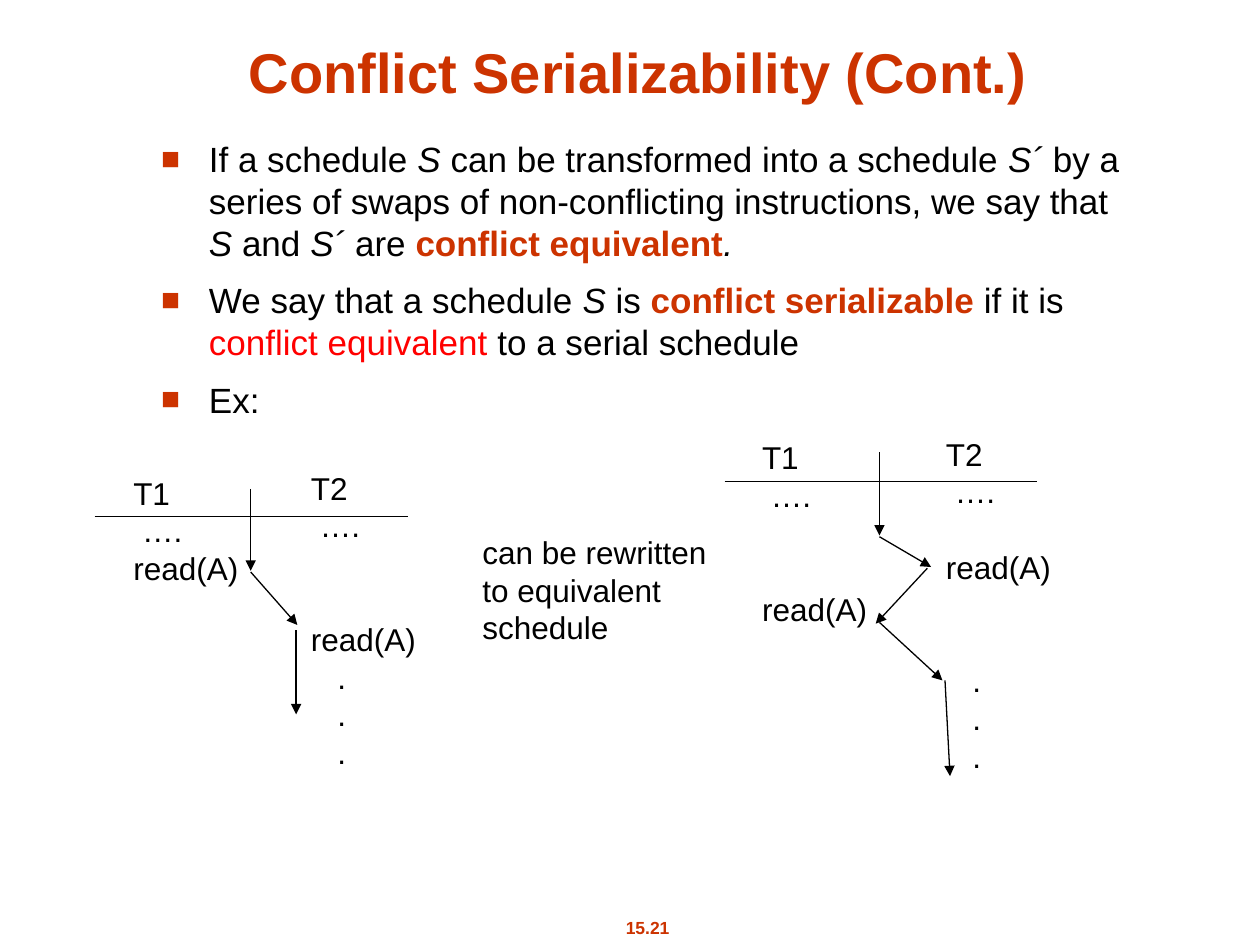
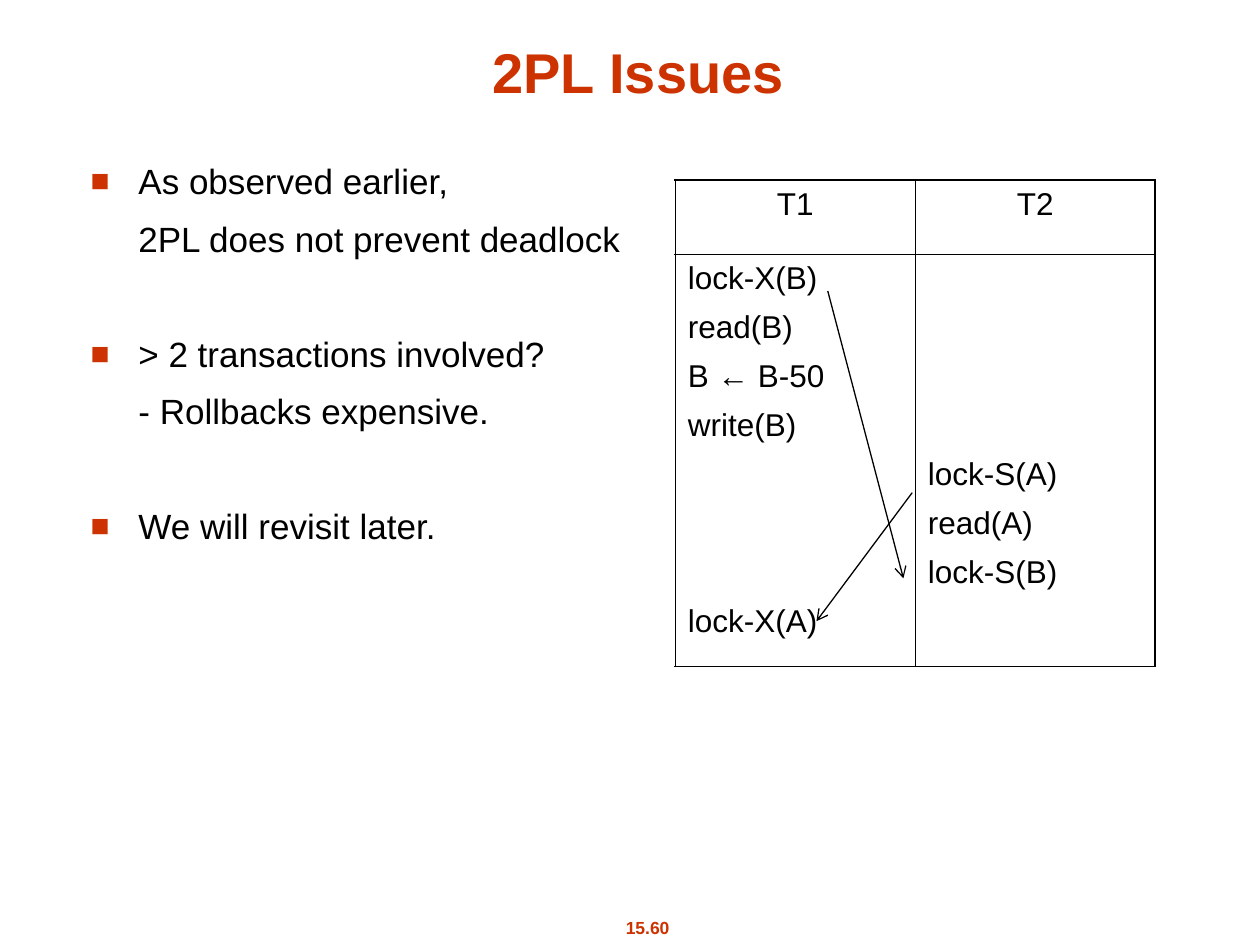
from dataclasses import dataclass
from typing import NamedTuple, Optional

import lxml.etree
import pptx
import pptx.dml.color
import pptx.enum.shapes
import pptx.enum.text
import pptx.oxml
import pptx.oxml.ns
import pptx.util

Inches = pptx.util.Inches
Pt = pptx.util.Pt
Align = pptx.enum.text.PP_ALIGN
Anchor = pptx.enum.text.MSO_ANCHOR
qn = pptx.oxml.ns.qn

COLORS = {"accent": "CC3300", "text": "000000", "highlight": "FF0000"}
FONT = "Arial"
LEADING = 1.2
TITLE_SIZE, BODY_SIZE, DIAGRAM_SIZE, FOOTER_SIZE = 32, 20, 18, 10
BODY_GAP = 8.8
BODY_INDENT = 0.38
BODY_LINE = BODY_SIZE * LEADING
DIAGRAM_LINE = DIAGRAM_SIZE * LEADING
TABLE_GAP = 7.9
TABLE_STEP = 28
OUTER_BORDER, INNER_BORDER = 1.08, 0.45


class Box(NamedTuple):
    left: float
    top: float
    width: float
    height: float


class Run(NamedTuple):
    text: str
    color: str = "text"
    bold: bool = False
    italic: bool = False


@dataclass
class Para:
    runs: list[Run]
    before: float = 0
    indent: float = 0
    bullet: bool = False
    align: Align = Align.LEFT


class Line(NamedTuple):
    x1: float
    y1: float
    x2: float
    y2: float
    head: Optional[str] = "triangle"


def italic(text: str) -> Run:
    return Run(text, italic=True)


def term(text: str) -> Run:
    return Run(text, "accent", bold=True)


def point(*runs: Run, before: float = BODY_GAP, bullet: bool = True) -> Para:
    return Para(list(runs), before, BODY_INDENT, bullet)


def step(text: str, skipped: int = 0, indent: float = 0) -> Para:
    """One line of a schedule, after a number of skipped lines."""
    return Para([Run(text)], skipped * DIAGRAM_LINE, indent)


def dots(skipped: int = 0) -> list[Para]:
    return [step(".", skipped if i == 0 else 0, 0.21) for i in range(3)]


def lock_steps(*texts: str) -> list[Para]:
    return [Para([Run(text)], TABLE_GAP if i else 0) for i, text in enumerate(texts)]


def rgb(name: str) -> pptx.dml.color.RGBColor:
    return pptx.dml.color.RGBColor.from_string(COLORS[name])


def add_bullet(paragraph) -> None:
    props = paragraph._p.get_or_add_pPr()
    color = lxml.etree.SubElement(props, qn("a:buClr"))
    lxml.etree.SubElement(color, qn("a:srgbClr"), val=COLORS["accent"])
    lxml.etree.SubElement(props, qn("a:buSzPct"), val="90000")
    lxml.etree.SubElement(props, qn("a:buFont"), typeface=FONT)
    lxml.etree.SubElement(props, qn("a:buChar"), char="■")


def write(frame, paras: list[Para], size: float, leading: Optional[float] = None) -> None:
    for i, para in enumerate(paras):
        paragraph = frame.add_paragraph() if i else frame.paragraphs[0]
        props = paragraph._p.get_or_add_pPr()
        props.set("marL", str(Inches(para.indent)))
        props.set("indent", str(-Inches(para.indent) if para.bullet else 0))
        if para.bullet:
            add_bullet(paragraph)
        paragraph.alignment = para.align
        paragraph.space_before = Pt(para.before)
        if leading:
            paragraph.line_spacing = Pt(size * leading)
        for part in para.runs:
            run = paragraph.add_run()
            run.text = part.text
            run.font.name = FONT
            run.font.size = Pt(size)
            run.font.bold = part.bold
            run.font.italic = part.italic
            run.font.color.rgb = rgb(part.color)


def add_text(slide, box: Box, paras: list[Para], size: float,
             anchor: Anchor = Anchor.TOP, right_margin: float = 0.1) -> None:
    frame = slide.shapes.add_textbox(*map(Inches, box)).text_frame
    frame.word_wrap = True
    frame.vertical_anchor = anchor
    frame.margin_right = Inches(right_margin)
    write(frame, paras, size, LEADING)


def add_line(slide, line: Line) -> None:
    ends = map(Inches, (line.x1, line.y1, line.x2, line.y2))
    connector = slide.shapes.add_connector(
        pptx.enum.shapes.MSO_CONNECTOR.STRAIGHT, *ends)
    connector.line.color.rgb = rgb("text")
    connector.line.width = Pt(0.75)
    if line.head:
        lxml.etree.SubElement(connector.line._get_or_add_ln(), qn("a:tailEnd"),
                              type=line.head)
    lxml.etree.SubElement(connector._element.spPr, qn("a:effectLst"))


def set_borders(cell, widths: dict[str, float]) -> None:
    """Draw the cell's borders; widths in points by side L, R, T, B."""
    props = cell._tc.get_or_add_tcPr()
    for i, (side, width) in enumerate(widths.items()):
        border = lxml.etree.Element(qn(f"a:ln{side}"), w=str(Pt(width)))
        fill = lxml.etree.SubElement(border, qn("a:solidFill"))
        lxml.etree.SubElement(fill, qn("a:srgbClr"), val=COLORS["text"])
        props.insert(i, border)


def start_slide(deck, title: str, number: str):
    slide = deck.slides.add_slide(deck.slide_layouts[6])
    add_text(slide, Box(4.61, 7.23, 1.06, 0.27),
             [Para([term(number)], align=Align.CENTER)], FOOTER_SIZE)
    add_text(slide, Box(0.65, 0.21, 8.83, 0.67),
             [Para([term(title)], align=Align.CENTER)], TITLE_SIZE, Anchor.BOTTOM)
    return slide


def build_conflict_slide(deck) -> None:
    slide = start_slide(deck, "Conflict Serializability (Cont.)", "15.21")
    add_text(slide, Box(1.18, 1.04, 7.94, 5.14), [
        point(Run("If a schedule "), italic("S"),
              Run(" can be transformed into a schedule "), italic("S´ "),
              Run("by a series of swaps of non-conflicting instructions, we say that "),
              italic("S"), Run(" and "), italic("S´ "), Run("are "),
              term("conflict equivalent"), italic("."), before=0),
        point(Run("We say that a schedule "), italic("S"), Run(" is "),
              term("conflict serializable"), Run(" if it is "),
              Run("conflict equivalent ", "highlight"), Run("to a serial schedule")),
        point(Run("Ex:")),
    ], BODY_SIZE)

    ellipsis = step("….", indent=0.07)
    schedules = [
        (Box(0.96, 3.71, 1.03, 1.9), [step("T1"), ellipsis, step("read(A)")]),
        (Box(2.37, 3.67, 1.03, 3.1),
         [step("T2"), ellipsis, step("read(A)", 2), *dots()]),
        (Box(5.95, 3.43, 1.03, 2.5), [step("T1"), ellipsis, step("read(A)", 2)]),
        (Box(7.41, 3.4, 1.03, 3.4),
         [step("T2"), ellipsis, step("read(A)", 1), *dots(2)]),
        (Box(3.73, 4.18, 1.98, 1),
         [step("can be rewritten"), step("to equivalent"), step("schedule")]),
    ]
    for box, steps in schedules:
        add_text(slide, box, steps, DIAGRAM_SIZE, right_margin=0)

    header_rules = [Line(0.75, 4.1, 3.24, 4.1, None), Line(5.75, 3.82, 8.23, 3.82, None)]
    first_order = [
        Line(1.99, 3.88, 1.99, 4.53),
        Line(1.99, 4.54, 2.36, 4.96),
        Line(2.35, 5, 2.35, 5.67),
    ]
    swapped_order = [
        Line(6.98, 3.59, 6.98, 4.25),
        Line(6.98, 4.26, 7.39, 4.5),
        Line(7.36, 4.51, 6.95, 4.95),
        Line(6.98, 4.94, 7.48, 5.4),
        Line(7.5, 5.4, 7.54, 6.16),
    ]
    for line in header_rules + first_order + swapped_order:
        add_line(slide, line)


def add_lock_table(slide) -> None:
    rows = [
        [[Para([Run(name)], align=Align.CENTER)] for name in ("T1", "T2")],
        [lock_steps("lock-X(B)", "read(B)", "B ← B-50", "write(B)", "lock-X(A)"),
         lock_steps("lock-S(A)", "read(A)", "lock-S(B)")],
    ]
    rows[1][0][-1].before += 3 * TABLE_STEP

    table = slide.shapes.add_table(
        2, 2, *map(Inches, Box(5.36, 1.43, 3.81, 3.86))).table
    table.first_row = table.horz_banding = False
    for column in table.columns:
        column.width = Inches(1.905)
    for row, height in zip(table.rows, (0.59, 3.27)):
        row.height = Inches(height)
    for r, row in enumerate(rows):
        for c, paras in enumerate(row):
            cell = table.cell(r, c)
            cell.fill.background()
            set_borders(cell, {
                "L": INNER_BORDER if c else OUTER_BORDER,
                "R": OUTER_BORDER if c else INNER_BORDER,
                "T": INNER_BORDER if r else OUTER_BORDER,
                "B": OUTER_BORDER if r else INNER_BORDER,
            })
            write(cell.text_frame, paras, DIAGRAM_SIZE)
    # T2 starts only after the four steps of T1
    table.cell(1, 1).margin_top = Inches(0.05) + Pt(4 * TABLE_STEP)


def build_locking_slide(deck) -> None:
    slide = start_slide(deck, "2PL Issues", "15.60")
    section_gap = BODY_LINE + 2 * BODY_GAP
    add_text(slide, Box(0.62, 1.22, 8.58, 5.33), [
        point(Run("As observed earlier,"), before=0),
        point(Run("2PL does not prevent deadlock"), bullet=False),
        point(Run("> 2 transactions involved?"), before=section_gap),
        point(Run("- Rollbacks expensive."), bullet=False),
        point(Run("We will revisit later."), before=section_gap),
    ], BODY_SIZE)
    add_lock_table(slide)
    for wait in (Line(6.57, 2.31, 7.17, 4.59, "arrow"),
                 Line(7.24, 3.91, 6.48, 4.93, "arrow")):
        add_line(slide, wait)


def main() -> None:
    deck = pptx.Presentation()
    deck.slide_width, deck.slide_height = Inches(10), Inches(7.5)
    build_conflict_slide(deck)
    build_locking_slide(deck)
    deck.save("out.pptx")


if __name__ == "__main__":
    main()
